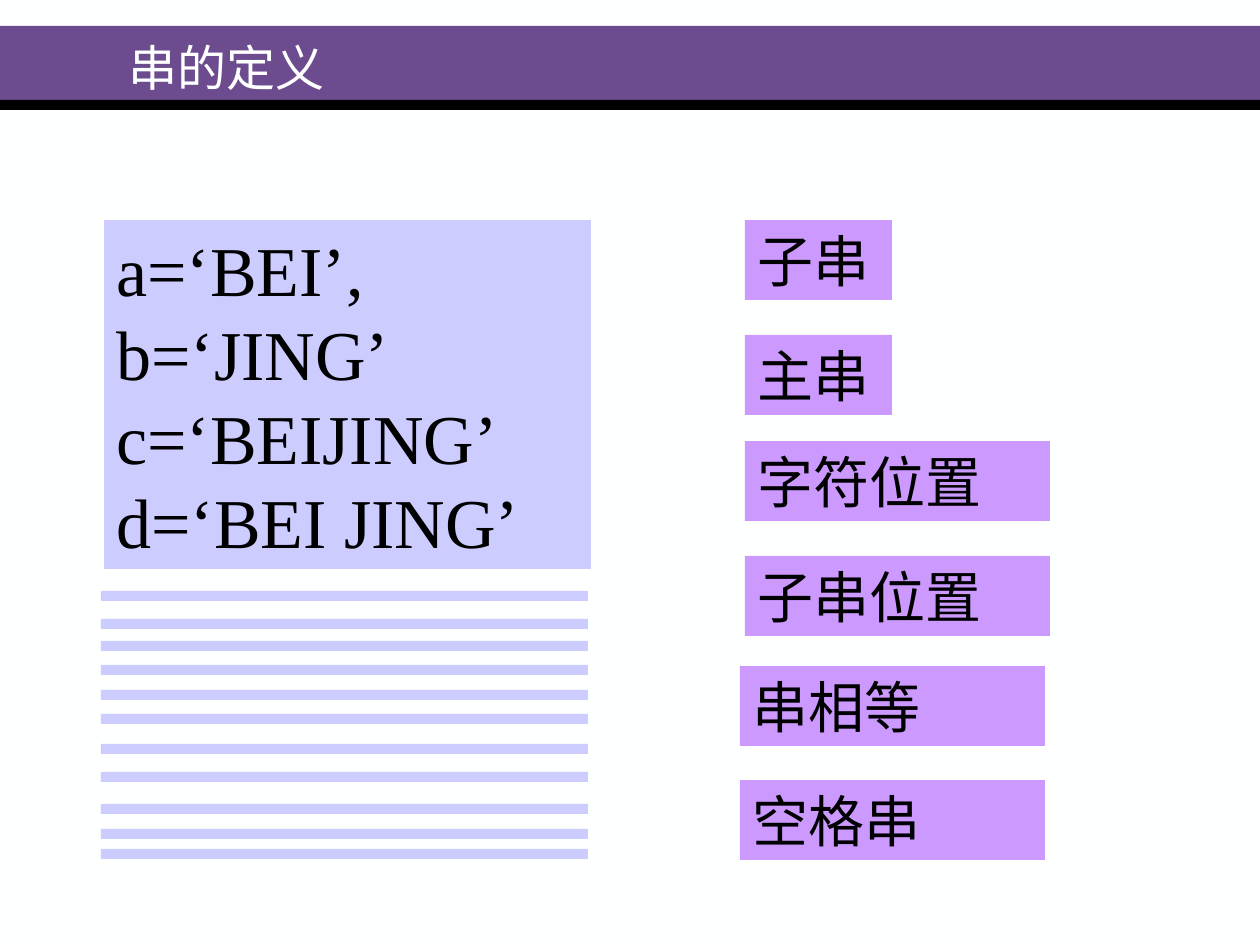
from pptx import Presentation
from pptx.dml.color import RGBColor
from pptx.enum.shapes import MSO_SHAPE as Shape
from pptx.enum.text import MSO_ANCHOR as Anchor, MSO_AUTO_SIZE as AutoSize, PP_ALIGN as Align
from pptx.util import Emu, Pt

EMU_PER_PX = 914400 / 126
FONT = "Times New Roman"
COLORS = {
    "background": "FEFFFF",
    "band": "6C4C8F",
    "rule": "000000",
    "code": "CCCCFF",
    "label": "CC99FF",
    "text": "000000",
    "title": "FEFFFF",
}
CODE_LINES = ["a=‘BEI’,", "b=‘JING’", "c=‘BEIJING’", "d=‘BEI JING’"]
LABELS = [
    ("子串", 745, 220, 147),
    ("主串", 745, 335, 147),
    ("字符位置", 745, 441, 305),
    ("子串位置", 745, 556, 305),
    ("串相等", 740, 666, 305),
    ("空格串", 740, 780, 305),
]
STRIPE_TOPS = [591, 619, 641, 665, 690, 714, 744, 772, 804, 829, 849]


def px(length):
    """Turn pixels into EMU."""
    return Emu(round(length * EMU_PER_PX))


def color(name):
    """Return the named colour."""
    return RGBColor.from_string(COLORS[name])


def set_values(target, values):
    """Set each attribute of the target from a dict."""
    for name, value in values.items():
        setattr(target, name, value)


def write_lines(shape, lines, size, color_name, anchor=Anchor.TOP):
    """Write left-aligned paragraphs with a line pitch of 1.2 times the size."""
    frame = shape.text_frame
    frame.text = "\n".join(lines)
    set_values(frame, {
        "word_wrap": True,
        "auto_size": AutoSize.NONE,
        "vertical_anchor": anchor,
    })
    for paragraph in frame.paragraphs:
        set_values(paragraph, {
            "alignment": Align.LEFT,
            "line_spacing": Pt(size * 1.2),
            "space_before": Pt(0),
        })
        set_values(paragraph.font, {"name": FONT, "size": Pt(size)})
        paragraph.font.color.rgb = color(color_name)


def add_block(slide, left, top, width, height, color_name):
    """Add a plain filled rectangle."""
    shape = slide.shapes.add_shape(
        Shape.RECTANGLE, px(left), px(top), px(width), px(height))
    shape.shadow.inherit = False
    shape.fill.solid()
    shape.fill.fore_color.rgb = color(color_name)
    shape.line.fill.background()
    return shape


def add_title(slide, text):
    """Place the title placeholder in front of the header band."""
    title = slide.shapes.title
    set_values(title, {
        "left": px(116), "top": px(35), "width": px(882), "height": px(63)})
    write_lines(title, [text], 28, "title", Anchor.MIDDLE)
    slide.shapes._spTree.append(title._element)


def main():
    """Build the slide and save it."""
    presentation = Presentation()
    set_values(presentation, {"slide_width": px(1260), "slide_height": px(945)})
    slide = presentation.slides.add_slide(presentation.slide_layouts[5])
    slide.background.fill.solid()
    slide.background.fill.fore_color.rgb = color("background")

    add_block(slide, 0, 26, 1260, 74, "band")
    add_block(slide, 0, 100, 1260, 10, "rule")
    code = add_block(slide, 104, 220, 487, 349, "code")
    write_lines(code, CODE_LINES, 40, "text")
    for text, left, top, width in LABELS:
        label = add_block(slide, left, top, width, 80, "label")
        write_lines(label, [text], 32, "text")
    for top in STRIPE_TOPS:
        add_block(slide, 101, top, 487, 10, "code")
    add_title(slide, "串的定义")
    presentation.save("out.pptx")


if __name__ == "__main__":
    main()
